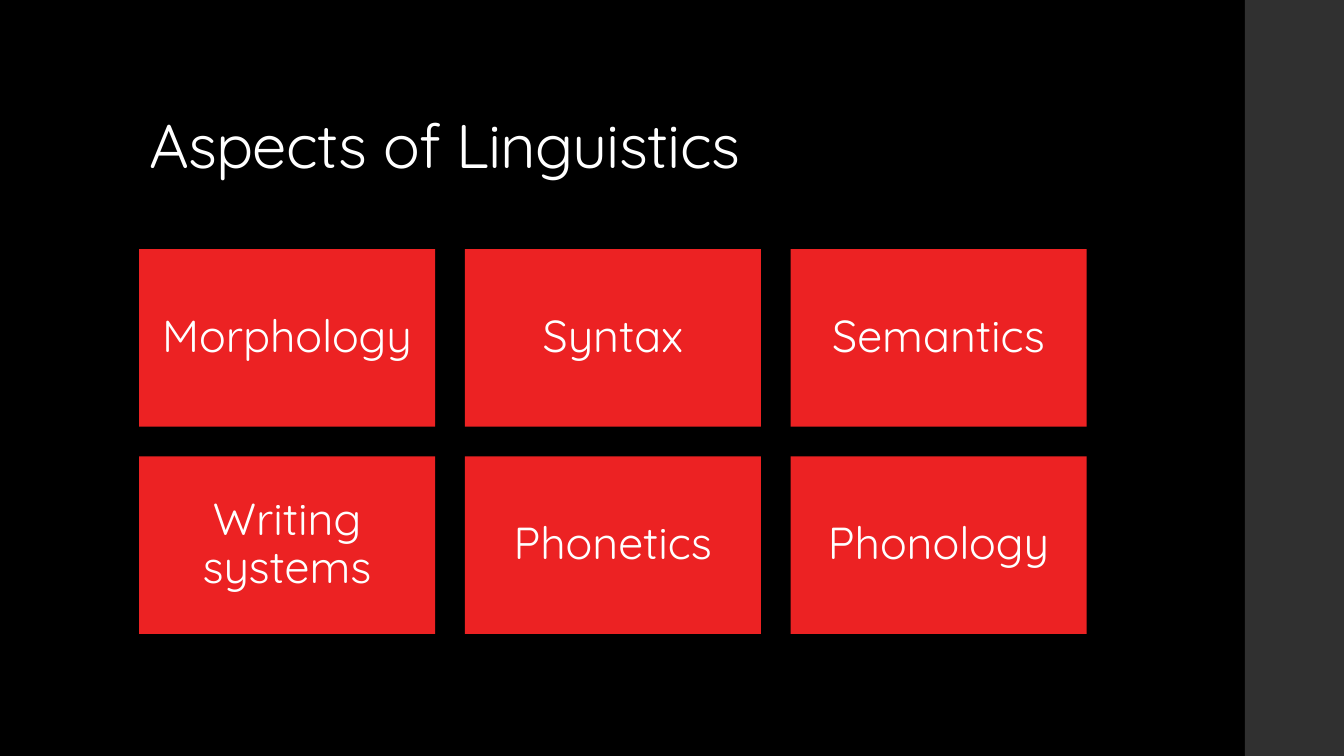
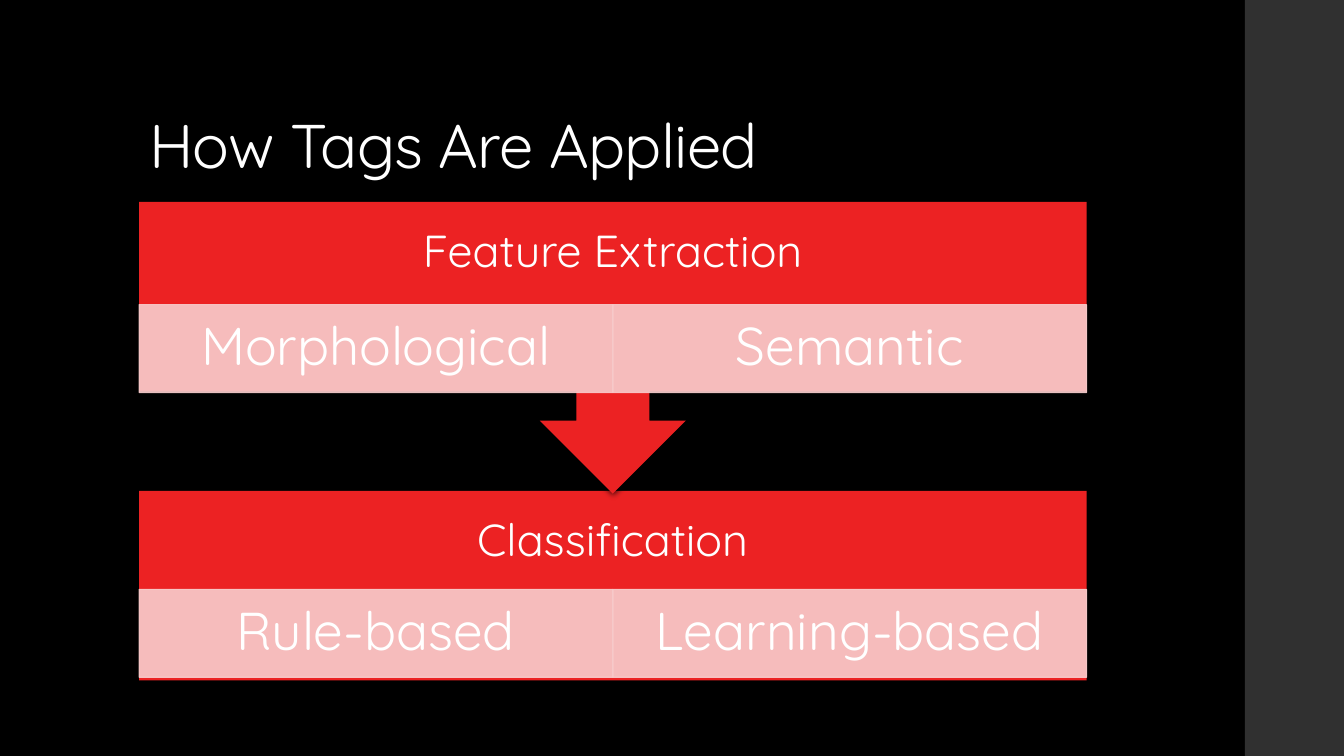
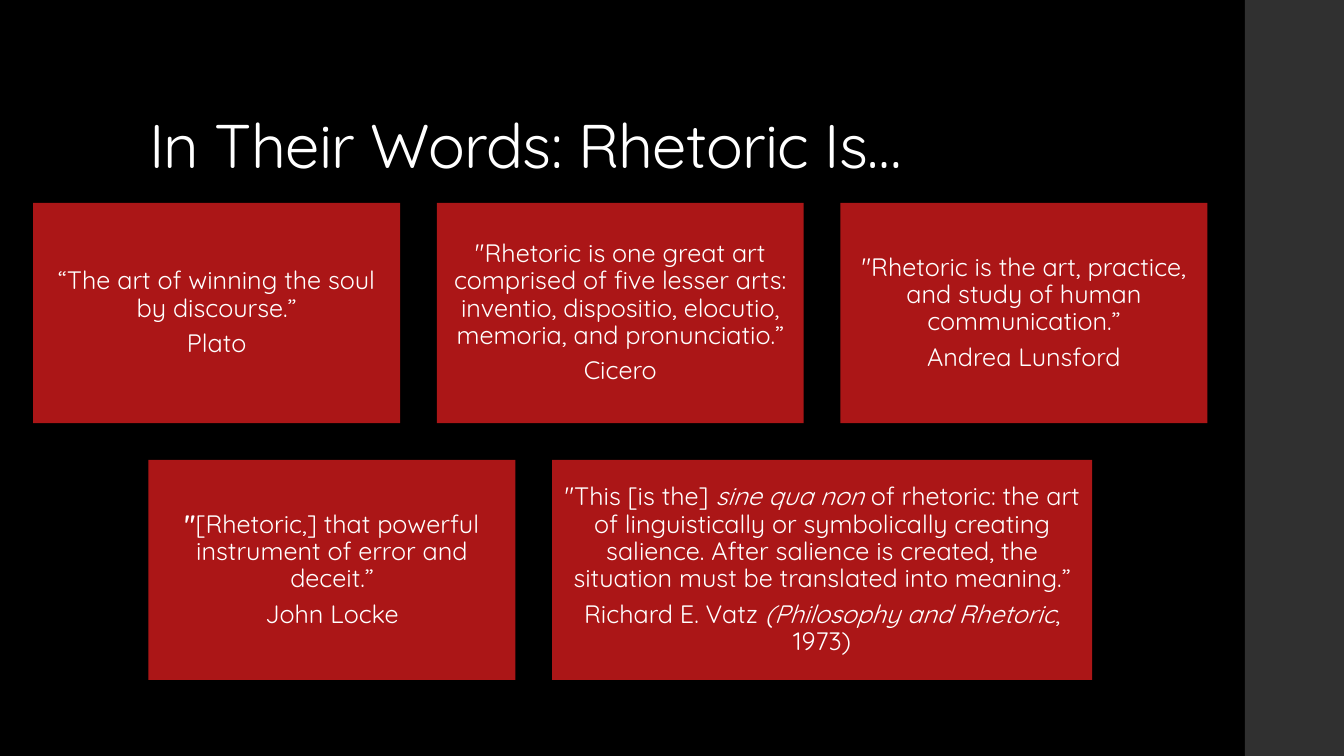
from lxml.etree import Element, SubElement
from pptx import Presentation
from pptx.dml.color import RGBColor
from pptx.enum.shapes import MSO_SHAPE
from pptx.enum.text import MSO_ANCHOR, MSO_AUTO_SIZE, PP_ALIGN
from pptx.oxml.ns import qn
from pptx.text.text import Font
from pptx.util import Pt

WIDE, TALL = 960, 540
FONT = "Quicksand"
HEX = {"back": "000000", "side": "303030", "text": "FFFFFF",
       "red": "EC2223", "dark": "AB1617", "pale": "F8CDCD"}
LEFT, SPAN = 99.36, 676.8
SIDE = 889.2

TOPICS = [["Morphology", "Syntax", "Semantics"],
          ["Writing systems", "Phonetics", "Phonology"]]

# A paragraph is a string, or a list of (text, style) runs.
QUOTES = [
    [
        ["“The art of winning the soul by discourse.”", "Plato"],
        ['"Rhetoric is one great art comprised of five lesser arts: inventio, '
         'dispositio, elocutio, memoria, and pronunciatio.”', "Cicero"],
        ['"Rhetoric is the art, practice, and study of human communication.”',
         "Andrea Lunsford"],
    ],
    [
        [[('"', "b"), ("[Rhetoric,] that powerful instrument of error and "
                       "deceit.”", "")], "John Locke"],
        [[('"This [is the] ', ""), ("sine qua non ", "i"),
          ("of rhetoric: the art of linguistically or symbolically creating "
           "salience. After salience is created, the situation must be "
           "translated into meaning.”", "")],
         [("Richard E. Vatz ", ""), ("(Philosophy and Rhetoric", "i"),
          (", 1973)", "")]],
    ],
]


def paint(color):
    return RGBColor.from_string(HEX[color])


def style_master(master):
    master.background.fill.solid()
    master.background.fill.fore_color.rgb = paint("back")
    level = master.element.find("/".join(
        qn(tag) for tag in ("p:txStyles", "p:titleStyle", "a:lvl1pPr")))
    level.set("algn", "l")
    space = Element(qn("a:lnSpc"))
    SubElement(space, qn("a:spcPct"), val="90000")
    level.insert(0, space)
    props = level.find(qn("a:defRPr"))
    props.set("spc", "-50")
    font = Font(props)
    font.name, font.size, font.color.rgb = FONT, Pt(44), paint("text")


def style_layout(layout):
    title = layout.placeholders[0]
    title.left, title.top = Pt(LEFT), Pt(28.8)
    title.width, title.height = Pt(763.2), Pt(104.4)
    title.text_frame.vertical_anchor = MSO_ANCHOR.BOTTOM
    title.text_frame.auto_size = MSO_AUTO_SIZE.NONE


def add_side(master, slide):
    """Draw the side band on a slide, then move it to the master."""
    band = add_box(slide, SIDE, 0, WIDE - SIDE, TALL, "side")
    band.element.nvSpPr.cNvPr.set("id", "20")
    master.shapes.element.insert(2, band.element)


def add_page(deck, layout, title):
    slide = deck.slides.add_slide(layout)
    slide.shapes.title.text_frame.text = title
    return slide


def add_box(slide, left, top, width, height, color, kind=MSO_SHAPE.RECTANGLE):
    box = slide.shapes.add_shape(kind, Pt(left), Pt(top), Pt(width), Pt(height))
    box.shadow.inherit = False
    box.fill.solid()
    box.fill.fore_color.rgb = paint(color)
    box.line.fill.background()
    return box


def add_shade(box):
    effects = box.element.spPr.find(qn("a:effectLst"))
    shade = SubElement(effects, qn("a:outerShdw"), blurRad=str(Pt(4)),
                       dist=str(Pt(1.2)), dir="5400000", rotWithShape="0")
    color = SubElement(shade, qn("a:srgbClr"), val=HEX["back"])
    SubElement(color, qn("a:alpha"), val="75000")


def write(box, paras, size, pads):
    """Fill a box with centred text; pads are left, top, right, bottom."""
    frame = box.text_frame
    frame.word_wrap = True
    frame.vertical_anchor = MSO_ANCHOR.MIDDLE
    (frame.margin_left, frame.margin_top,
     frame.margin_right, frame.margin_bottom) = map(Pt, pads)
    for count, runs in enumerate(paras):
        para = frame.add_paragraph() if count else frame.paragraphs[0]
        para.alignment = PP_ALIGN.CENTER
        para.line_spacing = 0.9
        para.space_after = Pt(round(size / 3))
        for text, style in [(runs, "")] if isinstance(runs, str) else runs:
            run = para.add_run()
            run.text = text
            font = run.font
            font.name, font.size, font.color.rgb = FONT, Pt(size), paint("text")
            font.bold, font.italic = style == "b", style == "i"


def add_row(slide, cards, widths, middle, top, gap, height, color, size, pad):
    """Set cards side by side, centred on the middle line."""
    left = middle - (sum(widths) + gap * (len(widths) - 1)) / 2
    for paras, width in zip(cards, widths):
        card = add_box(slide, left, top, width, height, color)
        add_shade(card)
        write(card, paras, size, [pad] * 4)
        left += width + gap


def add_step(slide, top, height, kind, head, parts):
    """Add a headed panel with a row of pale cells below its head."""
    head_tall, cell_tall, body = 73.4, 62.8, 135.4
    panel = add_box(slide, LEFT, top, SPAN, height, "red", kind)
    add_shade(panel)
    write(panel, [head], 32, [18, 18, 18, 18 + body - head_tall])
    width = SPAN / len(parts)
    cell_top = top + (head_tall if height > body else 70.4)
    for count, part in enumerate(parts):
        cell = add_box(slide, LEFT + count * width, cell_top, width, cell_tall,
                       "pale")
        cell.line.color.rgb = paint("pale")
        cell.line.width = Pt(0.75)
        for color in cell.element.spPr.iter(qn("a:srgbClr")):
            SubElement(color, qn("a:alpha"), val="90000")
        write(cell, [part], 38, [21.6, 3.6, 21.6, 3.6])


def main():
    deck = Presentation()
    deck.slide_width, deck.slide_height = Pt(WIDE), Pt(TALL)
    master, layout = deck.slide_master, deck.slide_layouts[5]
    style_master(master)
    style_layout(layout)

    slide = add_page(deck, layout, "Aspects of Linguistics")
    add_side(master, slide)
    width = SPAN / 3.2
    gap, height = 0.1 * width, 0.6 * width
    for count, names in enumerate(TOPICS):
        add_row(slide, [[name] for name in names], [width] * 3, LEFT + SPAN / 2,
                177.9 + count * (height + gap), gap, height, "red", 32, 9.6)

    slide = add_page(deck, layout, "How Tags Are Applied")
    add_step(slide, 350.6, 135.4, MSO_SHAPE.RECTANGLE, "Classification",
             ["Rule-based", "Learning-based"])
    add_step(slide, 144.2, 208.4, MSO_SHAPE.DOWN_ARROW_CALLOUT,
             "Feature Extraction", ["Morphological", "Semantic"])

    slide = add_page(deck, layout, "In Their Words: Rhetoric Is…")
    width = 262.1
    gap, height = 0.1 * width, 0.6 * width
    for count, (cards, widths) in enumerate(
            zip(QUOTES, ([width] * 3, [width, 385.7]))):
        add_row(slide, cards, widths, 443.1, 145 + count * (height + gap), gap,
                height, "dark", 18, 5.4)

    deck.save("out.pptx")


if __name__ == "__main__":
    main()
